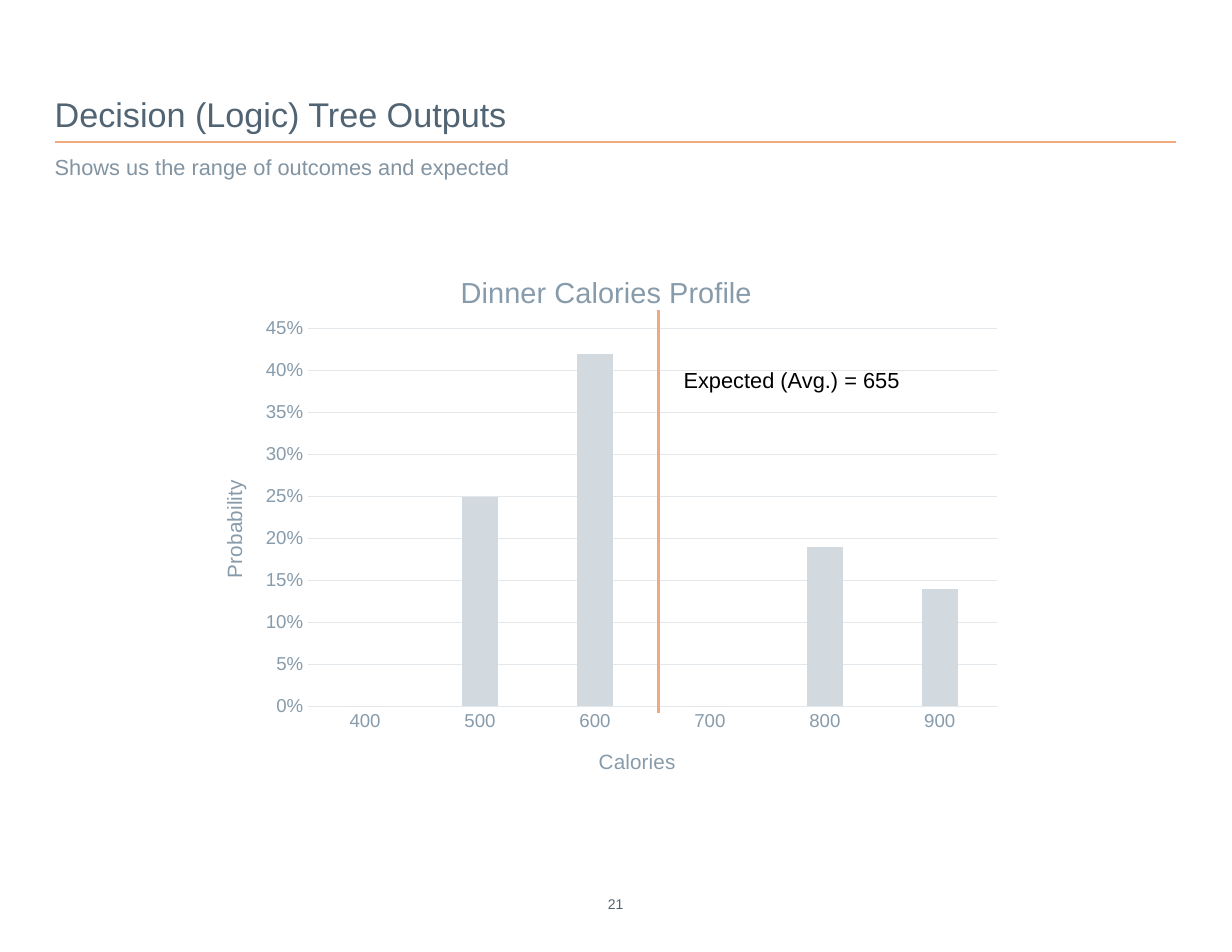
from lxml.etree import SubElement
from pptx import Presentation
from pptx.chart.data import CategoryChartData
from pptx.dml.color import RGBColor
from pptx.enum.chart import XL_CHART_TYPE as ChartType, XL_TICK_MARK as TickMark
from pptx.enum.text import MSO_ANCHOR as Anchor, PP_ALIGN as Align
from pptx.oxml.ns import qn
from pptx.util import Cm, Pt

# Content
TITLE = "Decision (Logic) Tree Outputs"
SUBTITLE = "Shows us the range of outcomes and expected"
EXPECTED = "Expected (Avg.) = 655"
PAGE_NUMBER = "21"
CHART_TITLE = "Dinner Calories Profile"
PROFILE = {"400": 0, "500": 0.25, "600": 0.42, "700": 0, "800": 0.19, "900": 0.14}

# Look
FONT = "Arial"
DARK, MUTED, SOFT, BLACK = "516473", "8294A2", "879BAB", "000000"
ACCENT, GRID, BAR = "F0AA7F", "E3E8EC", "D2DAE0"
LEFT = 1.24
EXPECTED_X = 14.93


def colour(value):
    return RGBColor.from_string(value)


def set_all(target, values):
    for name, value in values.items():
        setattr(target, name, value)


def set_font(font, size, hex_value):
    set_all(font, {"name": FONT, "size": Pt(size), "bold": False})
    font.color.rgb = colour(hex_value)


def set_line(line, hex_value, width):
    line.color.rgb = colour(hex_value)
    line.width = Pt(width)


def write(box, place, text, size, hex_value, **frame_values):
    set_all(box, dict(zip(("left", "top", "width", "height"), map(Cm, place))))
    frame = box.text_frame
    set_all(frame, {"word_wrap": True, **frame_values})
    frame.text = text
    para = frame.paragraphs[0]
    set_all(para, {"space_before": Pt(0), "line_spacing": 1.0})
    set_font(para.runs[0].font, size, hex_value)
    return para


def add_line(page, start, end, width):
    line = page.shapes.add_connector(1, *map(Cm, start + end))
    set_line(line.line, ACCENT, width)
    SubElement(line.element.spPr, qn("a:effectLst"))


def place_in_chart(element, index, **fractions):
    """Give a chart part a manual layout, in fractions of the chart."""
    layout = element.find(qn("c:layout"))
    if layout is None:
        layout = SubElement(element, qn("c:layout"))
        element.insert(index, layout)
    manual = SubElement(layout, qn("c:manualLayout"))
    settings = {"xMode": "edge", "yMode": "edge", **fractions}
    if "w" in fractions:
        settings = {"layoutTarget": "inner", **settings}
    for name, value in settings.items():
        SubElement(manual, qn(f"c:{name}")).set("val", str(value))


def name_part(title, text, size, x, y):
    title.text_frame.text = text
    set_font(title.text_frame.paragraphs[0].runs[0].font, size, SOFT)
    place_in_chart(title.element, 1, x=x, y=y)


def add_profile_chart(page):
    data = CategoryChartData(number_format="0%")
    data.categories = list(PROFILE)
    data.add_series("Series 1", list(PROFILE.values()))
    place = map(Cm, (4.37, 5.59, 18.62, 12.42))
    chart = page.shapes.add_chart(ChartType.COLUMN_CLUSTERED, *place, data).chart
    chart.has_legend = False
    set_font(chart.font, 10, DARK)

    # Bars
    plot = chart.plots[0]
    set_all(plot, {"gap_width": 219, "overlap": -27, "vary_by_categories": False})
    fill = plot.series[0].format.fill
    fill.solid()
    fill.fore_color.rgb = colour(BAR)

    # Axes
    across, up = chart.category_axis, chart.value_axis
    for axis in (across, up):
        set_all(axis, {"major_tick_mark": TickMark.NONE, "minor_tick_mark": TickMark.NONE})
        set_font(axis.tick_labels.font, 12, SOFT)
    set_line(across.format.line, GRID, 0.75)
    set_all(up, {"minimum_scale": 0, "maximum_scale": 0.45, "major_unit": 0.05})
    set_all(up.tick_labels, {"number_format": "0%", "number_format_is_linked": False})
    up.format.line.fill.background()
    set_line(up.major_gridlines.format.line, GRID, 0.75)

    # Titles and plot area
    chart.has_title = True
    name_part(chart.chart_title, CHART_TITLE, 18.6, 0.32, 0.04)
    name_part(across.axis_title, "Calories", 13.3, 0.49, 0.91)
    name_part(up.axis_title, "Probability", 13.3, 0.03, 0.42)
    place_in_chart(chart.element.find(".//" + qn("c:plotArea")), 0,
                   x=0.14, y=0.15, w=0.84, h=0.69)


def main():
    deck = Presentation()
    set_all(deck, {"slide_width": Cm(27.94), "slide_height": Cm(21.59)})
    page = deck.slides.add_slide(deck.slide_layouts[1])
    flush = dict.fromkeys(
        ("margin_left", "margin_top", "margin_right", "margin_bottom"), 0)

    # Heading
    title, body = page.placeholders
    para = write(title, (LEFT, 2.11, 22.3, 0.94), TITLE, 22, DARK,
                 vertical_anchor=Anchor.BOTTOM, **flush)
    para.alignment = Align.LEFT
    para = write(body, (LEFT, 3.48, 22.3, 0.61), SUBTITLE, 14, MUTED, **flush)
    props = para._p.get_or_add_pPr()
    set_all(props, {"marL": 0, "indent": 0}) if hasattr(props, "marL") else None
    props.set("marL", "0")
    props.set("indent", "0")
    SubElement(props, qn("a:buNone"))
    add_line(page, (LEFT, 3.22), (26.67, 3.22), 0.75)

    # Chart with its expected value
    add_profile_chart(page)
    add_line(page, (EXPECTED_X, 7.04), (EXPECTED_X, 16.18), 2.25)
    box = page.shapes.add_textbox(0, 0, 0, 0)
    para = write(box, (EXPECTED_X, 8.2, 6.05, 0.86), EXPECTED, 14, BLACK)
    para.alignment = Align.CENTER

    # Page number
    box = page.shapes.add_textbox(0, 0, 0, 0)
    para = write(box, (13.39, 20.32, 1.14, 0.38), PAGE_NUMBER, 9, DARK, **flush)
    para.alignment = Align.CENTER

    deck.save("out.pptx")


if __name__ == "__main__":
    main()
